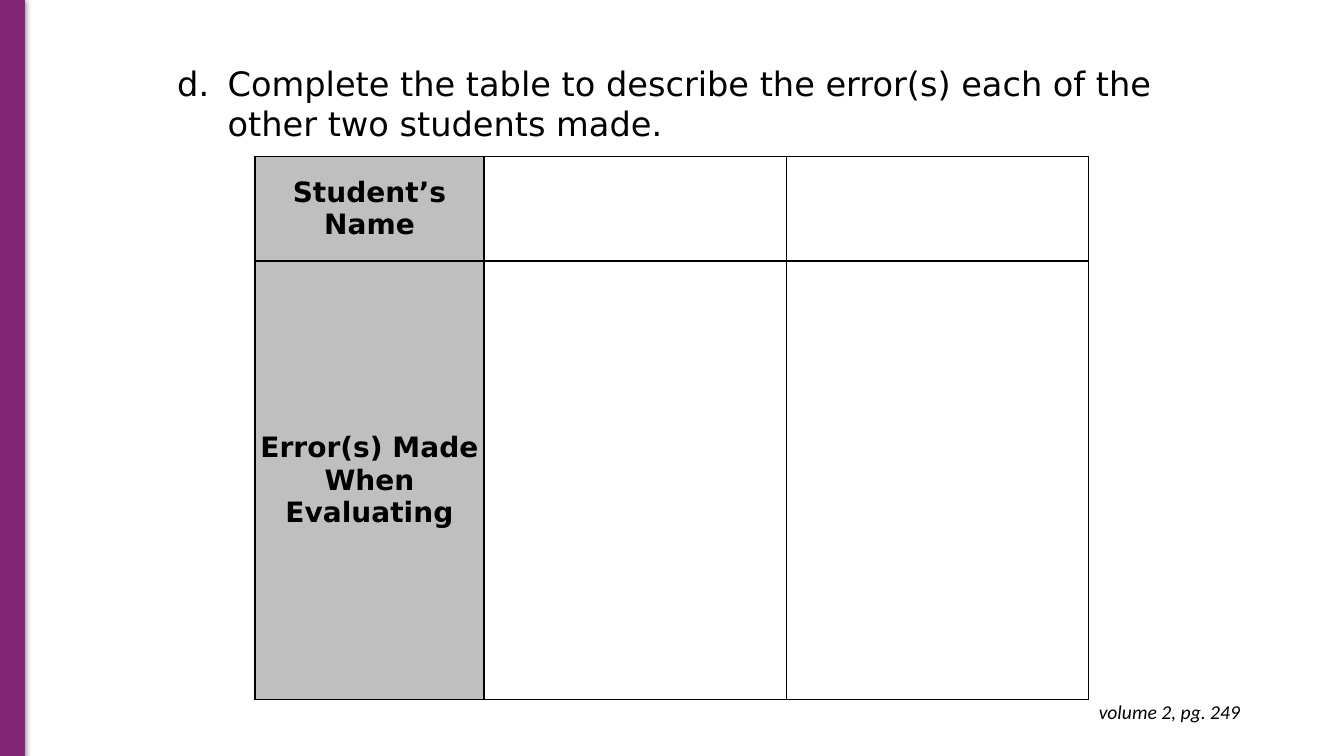
"""Builds the error-analysis exercise slide."""
from lxml.etree import SubElement
from pptx import Presentation
from pptx.dml.color import RGBColor
from pptx.enum.shapes import MSO_SHAPE as Shape
from pptx.enum.text import MSO_ANCHOR as Anchor, MSO_AUTO_SIZE as AutoSize, PP_ALIGN as Align
from pptx.oxml.ns import qn
from pptx.util import Inches, Pt

COLORS = {"accent": "822574", "ink": "000000", "header": "BFBFBF"}
QUESTION = {"name": "DejaVu Sans", "size": Pt(24)}
HEADER = {"name": "DejaVu Sans", "size": Pt(20), "bold": True}
REFERENCE = {"name": "Calibri", "size": Pt(14), "italic": True}
COLUMN_WIDTHS = (2.27, 3, 3)
ROWS = (("Student’s Name", 1.04), ("Error(s) Made When Evaluating", 4.35))


def rgb(key):
    """Return a palette colour."""
    return RGBColor.from_string(COLORS[key])


def apply(target, values):
    """Set each attribute in values on target."""
    for attribute, value in values.items():
        setattr(target, attribute, value)


def add_xml(parent, tag, **attributes):
    """Append a DrawingML element to parent."""
    return SubElement(parent, qn(f"a:{tag}"), attributes)


def write(paragraph, text, font, align):
    """Write one formatted run of text."""
    run = paragraph.add_run()
    run.text = text
    paragraph.alignment = align
    apply(run.font, font)
    run.font.color.rgb = rgb("ink")


def add_side_bar(slide):
    """Draw the coloured bar with its soft shadow."""
    bar = slide.shapes.add_shape(
        Shape.RECTANGLE, Inches(0), Inches(-0.01), Inches(0.24), Inches(7.51))
    bar.fill.solid()
    bar.fill.fore_color.rgb = bar.line.color.rgb = rgb("accent")
    bar.line.width = Pt(0.75)
    bar.shadow.inherit = False
    effects = bar._element.spPr.find(qn("a:effectLst"))
    shadow = add_xml(effects, "outerShdw", blurRad=str(Pt(4.5)), dist=str(Pt(1.5)),
                     dir="5400000", rotWithShape="0")
    add_xml(add_xml(shadow, "srgbClr", val=COLORS["ink"]), "alpha", val="50000")


def add_text(slide, box, text, font, align, inset_y=0.05):
    """Add a wrapping text box and return its paragraph."""
    frame = slide.shapes.add_textbox(*map(Inches, box)).text_frame
    apply(frame, {"word_wrap": True, "auto_size": AutoSize.SHAPE_TO_FIT_TEXT,
                  "margin_top": Inches(inset_y), "margin_bottom": Inches(inset_y)})
    paragraph = frame.paragraphs[0]
    write(paragraph, text, font, align)
    return paragraph


def add_letter(paragraph, start):
    """Give the paragraph a hanging letter number."""
    properties = paragraph._p.get_or_add_pPr()
    properties.set("marL", str(Inches(1)))
    properties.set("indent", str(Inches(-0.5)))
    add_xml(add_xml(properties, "buClr"), "srgbClr", val=COLORS["ink"])
    add_xml(properties, "buAutoNum", type="alphaLcPeriod", startAt=str(start))


def add_borders(cell):
    """Draw a thin line on every side of a cell."""
    properties = cell._tc.get_or_add_tcPr()
    for side in "LRTB":
        line = add_xml(properties, f"ln{side}", w=str(Pt(1)))
        add_xml(add_xml(line, "solidFill"), "srgbClr", val=COLORS["ink"])


def add_error_table(slide):
    """Add the table with header cells and blank answer cells."""
    table = slide.shapes.add_table(
        len(ROWS), len(COLUMN_WIDTHS), Inches(2.53), Inches(1.55),
        Inches(sum(COLUMN_WIDTHS)), Inches(sum(height for _, height in ROWS))).table
    apply(table, {"first_row": False, "horz_banding": False})
    for column, width in zip(table.columns, COLUMN_WIDTHS):
        column.width = Inches(width)
    for cell in table.iter_cells():
        add_borders(cell)
        cell.fill.background()
    for index, (label, height) in enumerate(ROWS):
        table.rows[index].height = Inches(height)
        header = table.cell(index, 0)
        header.fill.solid()
        header.fill.fore_color.rgb = rgb("header")
        apply(header, {"vertical_anchor": Anchor.MIDDLE,
                       "margin_left": Inches(0.04), "margin_right": Inches(0.04),
                       "margin_top": 0, "margin_bottom": 0})
        write(header.text_frame.paragraphs[0], label, HEADER, Align.CENTER)


def main():
    """Build and save the slide."""
    deck = Presentation()
    apply(deck, {"slide_width": Inches(13.33), "slide_height": Inches(7.5)})
    slide = deck.slides.add_slide(deck.slide_layouts[6])
    add_side_bar(slide)
    question = add_text(
        slide, (1.16, 0.57, 11.04, 0.91),
        "Complete the table to describe the error(s) each of the other two students made.",
        QUESTION, Align.LEFT)
    add_letter(question, 4)
    add_error_table(slide)
    add_text(slide, (9.52, 6.84, 2.88, 0.44), "volume 2, pg. 249",
             REFERENCE, Align.RIGHT, inset_y=0.1)
    deck.save("out.pptx")


if __name__ == "__main__":
    main()
